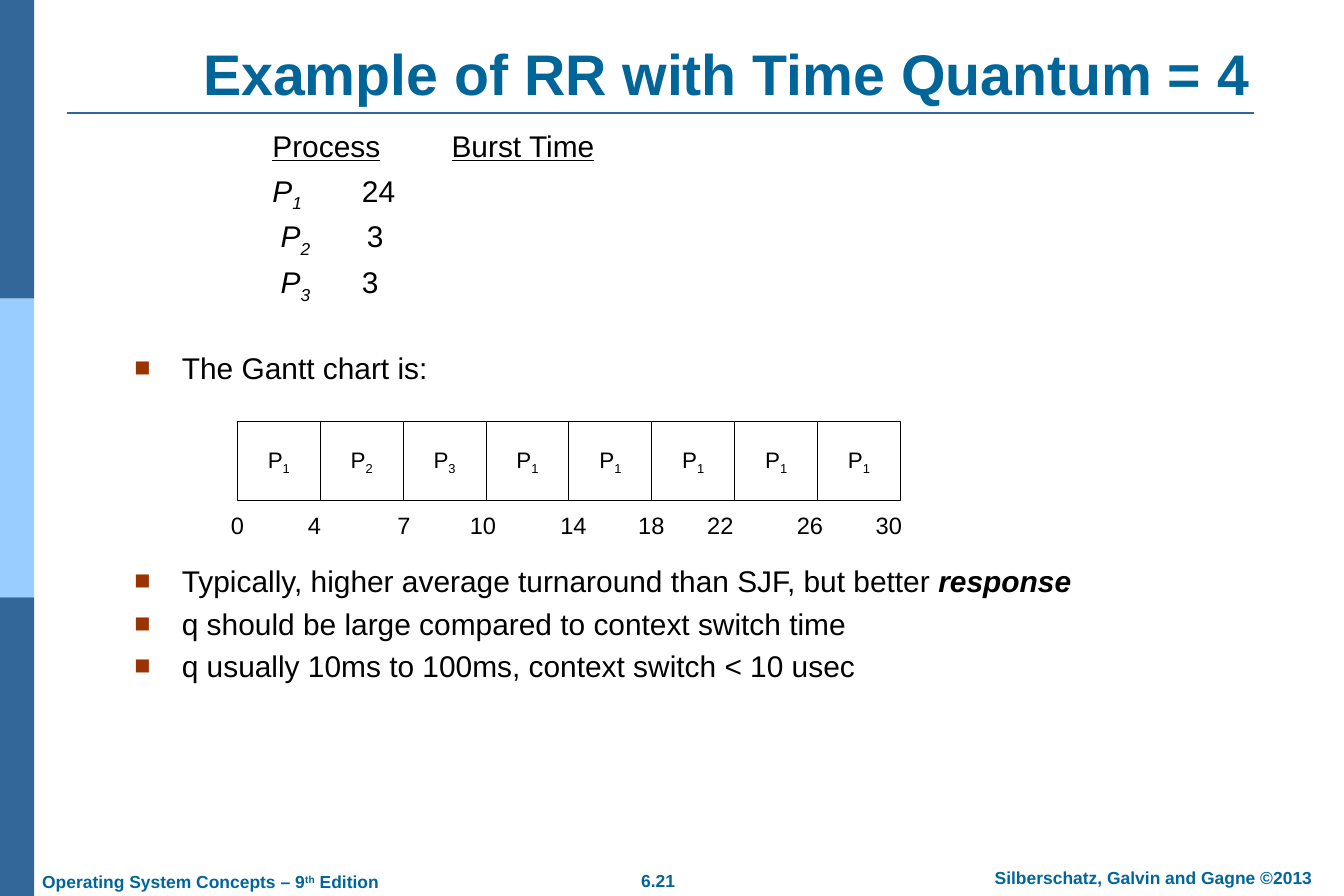
from typing import NamedTuple

from lxml import etree
from pptx import Presentation
from pptx.dml.color import RGBColor
from pptx.enum import shapes, text
from pptx.oxml import ns
from pptx.util import Inches, Pt

NAVY = RGBColor(0x33, 0x66, 0x99)
SKY = RGBColor(0x99, 0xCC, 0xFF)
TEAL = RGBColor(0x00, 0x66, 0x99)
RUST = RGBColor(0x99, 0x33, 0x00)
BLACK = RGBColor(0, 0, 0)
WHITE = RGBColor(0xFF, 0xFF, 0xFF)
LEFT, CENTER = text.PP_ALIGN.LEFT, text.PP_ALIGN.CENTER
TOP, MIDDLE = text.MSO_ANCHOR.TOP, text.MSO_ANCHOR.MIDDLE


class Span(NamedTuple):
    text: str
    bold: bool = False
    italic: bool = False
    underline: bool = False
    baseline: int = 0


class Style(NamedTuple):
    size: float
    color: RGBColor = BLACK
    bold: bool = False
    align: text.PP_ALIGN = LEFT
    anchor: text.MSO_ANCHOR = TOP
    margins: tuple[float, float] = (0.14, 0.07)


class Box(NamedTuple):
    left: float
    top: float
    width: float
    height: float


class Tick(NamedTuple):
    label: str
    center: float


BODY = Style(24)
FOOTER = Style(14, TEAL, True, CENTER)
CELL = Style(18, align=CENTER, anchor=MIDDLE, margins=(0.1, 0.05))
TICK = CELL._replace(size=19)

PROCESS_ROWS = [
    [Span("Process", underline=True), Span("\t"), Span("Burst Time", underline=True)],
    [Span("P", italic=True), Span("1\t", italic=True, baseline=-25), Span("24")],
    [Span(" "), Span("P", italic=True), Span("2\t ", italic=True, baseline=-25), Span("3")],
    [Span(" "), Span("P", italic=True), Span("3\t", italic=True, baseline=-25), Span("3")],
]
REMARKS = [
    [Span("Typically, higher average turnaround than SJF, but better "),
     Span("response", bold=True, italic=True)],
    [Span("q should be large compared to context switch time")],
    [Span("q usually 10ms to 100ms, context switch < 10 usec")],
]
SCHEDULE = "12311111"
TICKS = [Tick("0", 2.65), Tick("4", 3.51), Tick("7", 4.51), Tick("10", 5.39),
         Tick("14", 6.4), Tick("18", 7.27), Tick("22", 8.04), Tick("26", 9.04),
         Tick("30", 9.92)]
FOOTERS = [
    (Box(6.65, 9.64, 1.39, 0.38), [Span("6.21")], FOOTER),
    (Box(10.65, 9.61, 4.45, 0.38), [Span("Silberschatz, Galvin and Gagne ©2013")], FOOTER),
    (Box(0.33, 9.65, 4.05, 0.38),
     [Span("Operating System Concepts – 9"), Span("th", baseline=30), Span(" Edition")],
     FOOTER._replace(align=LEFT)),
]


def emu(box: Box) -> list[int]:
    return [Inches(v) for v in box]


def write(tf, paragraphs: list[list[Span]], style: Style) -> None:
    """Fill a text frame with paragraphs of spans in one style."""
    tf.word_wrap = True
    tf.vertical_anchor = style.anchor
    tf.margin_left = tf.margin_right = Inches(style.margins[0])
    tf.margin_top = tf.margin_bottom = Inches(style.margins[1])
    for i, spans in enumerate(paragraphs):
        p = tf.add_paragraph() if i else tf.paragraphs[0]
        p.alignment = style.align
        for span in spans:
            r = p.add_run()
            r.text = span.text
            r.font.name, r.font.size = "Arial", Pt(style.size)
            r.font.color.rgb = style.color
            r.font.bold = style.bold or span.bold
            r.font.italic, r.font.underline = span.italic, span.underline
            if span.baseline:
                r._r.get_or_add_rPr().set("baseline", str(span.baseline * 1000))


def add_text(s, box: Box, paragraphs: list[list[Span]], style: Style):
    tf = s.shapes.add_textbox(*emu(box)).text_frame
    write(tf, paragraphs, style)
    return tf


def add_rect(s, box: Box, fill: RGBColor):
    sp = s.shapes.add_shape(shapes.MSO_SHAPE.RECTANGLE, *emu(box))
    sp.shadow.inherit = False
    sp.fill.solid()
    sp.fill.fore_color.rgb = fill
    sp.line.fill.background()
    return sp


def sub(parent, tag: str, **attrs: str):
    return etree.SubElement(parent, ns.qn(tag), attrs)


def set_spacing(tf, before: float) -> None:
    for i, p in enumerate(tf.paragraphs):
        p.line_spacing = 0.8
        p.space_before = Pt(before if i else 0)


def add_bullets(s, box: Box, paragraphs: list[list[Span]]) -> None:
    tf = add_text(s, box, paragraphs, BODY)
    for p in tf.paragraphs:
        pPr = p._p.get_or_add_pPr()
        pPr.set("marL", str(Inches(0.53)))
        pPr.set("indent", str(-Inches(0.53)))
        sub(sub(pPr, "a:buClr"), "a:srgbClr", val=str(RUST))
        sub(pPr, "a:buSzPct", val="90000")
        sub(pPr, "a:buFont", typeface="Arial")
        sub(pPr, "a:buChar", char="■")
    set_spacing(tf, 11)


def add_processes(s) -> None:
    tf = add_text(s, Box(2.9, 1.43, 6, 2.1), PROCESS_ROWS, BODY)
    for p in tf.paragraphs:
        tabs = sub(p._p.get_or_add_pPr(), "a:tabLst")
        for stop in (1, 2):
            sub(tabs, "a:tab", pos=str(Inches(stop)), algn="l")
    set_spacing(tf, 10.5)


def add_gantt(s) -> None:
    pitch = 7.4 / len(SCHEDULE)
    for i, number in enumerate(SCHEDULE):
        sp = add_rect(s, Box(2.65 + i * pitch, 4.7, pitch, 0.89), WHITE)
        sp.line.color.rgb = BLACK
        sp.line.width = Pt(0.75)
        write(sp.text_frame, [[Span("P"), Span(number, baseline=-25)]], CELL)
    for tick in TICKS:
        add_text(s, Box(tick.center - 0.3, 5.65, 0.6, 0.42), [[Span(tick.label)]], TICK)


def add_frame(s) -> None:
    """Draw the side bands, the rule under the title and the footers."""
    band = 10 / 3
    for i, color in enumerate((NAVY, SKY, NAVY)):
        add_rect(s, Box(0, i * band, 0.38, band), color)
    rule = s.shapes.add_connector(shapes.MSO_CONNECTOR.STRAIGHT, Inches(0.75),
                                  Inches(1.26), Inches(14), Inches(1.26))
    rule.line.color.rgb = NAVY
    rule.line.width = Pt(1.5)
    sub(rule._element.spPr, "a:effectLst")
    for box, spans, style in FOOTERS:
        add_text(s, box, [spans], style)


def main() -> None:
    prs = Presentation()
    prs.slide_width, prs.slide_height = Inches(15), Inches(10)
    s = prs.slides.add_slide(prs.slide_layouts[5])
    add_frame(s)
    title = s.shapes.title
    title.left, title.top, title.width, title.height = emu(Box(1.5, 0.03, 13.21, 1.23))
    title.text_frame.auto_size = text.MSO_AUTO_SIZE.NONE
    write(title.text_frame, [[Span("Example of RR with Time Quantum = 4")]],
          Style(46, TEAL, True, CENTER, text.MSO_ANCHOR.BOTTOM))
    add_processes(s)
    add_bullets(s, Box(1.36, 3.91, 12.06, 0.5), [[Span("The Gantt chart is:")]])
    add_gantt(s)
    add_bullets(s, Box(1.36, 6.29, 12.06, 1.5), REMARKS)
    prs.save("out.pptx")


if __name__ == "__main__":
    main()
